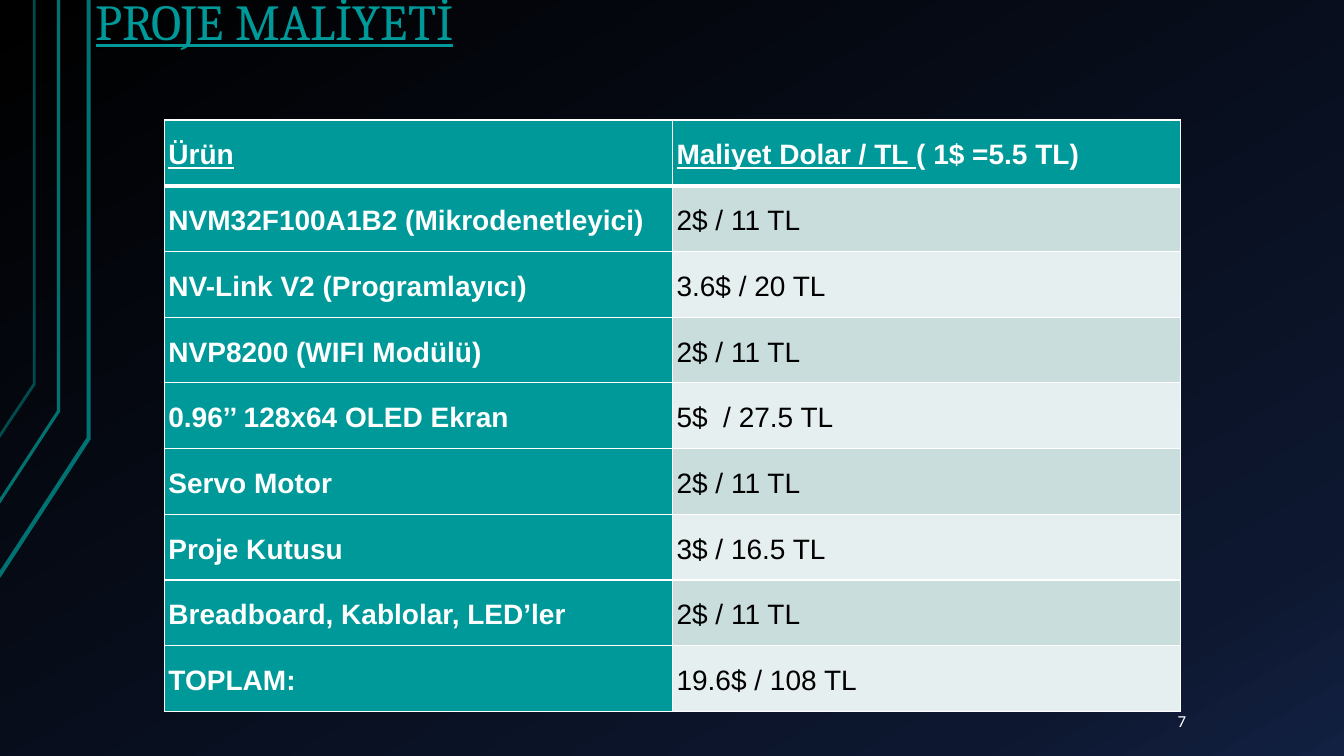
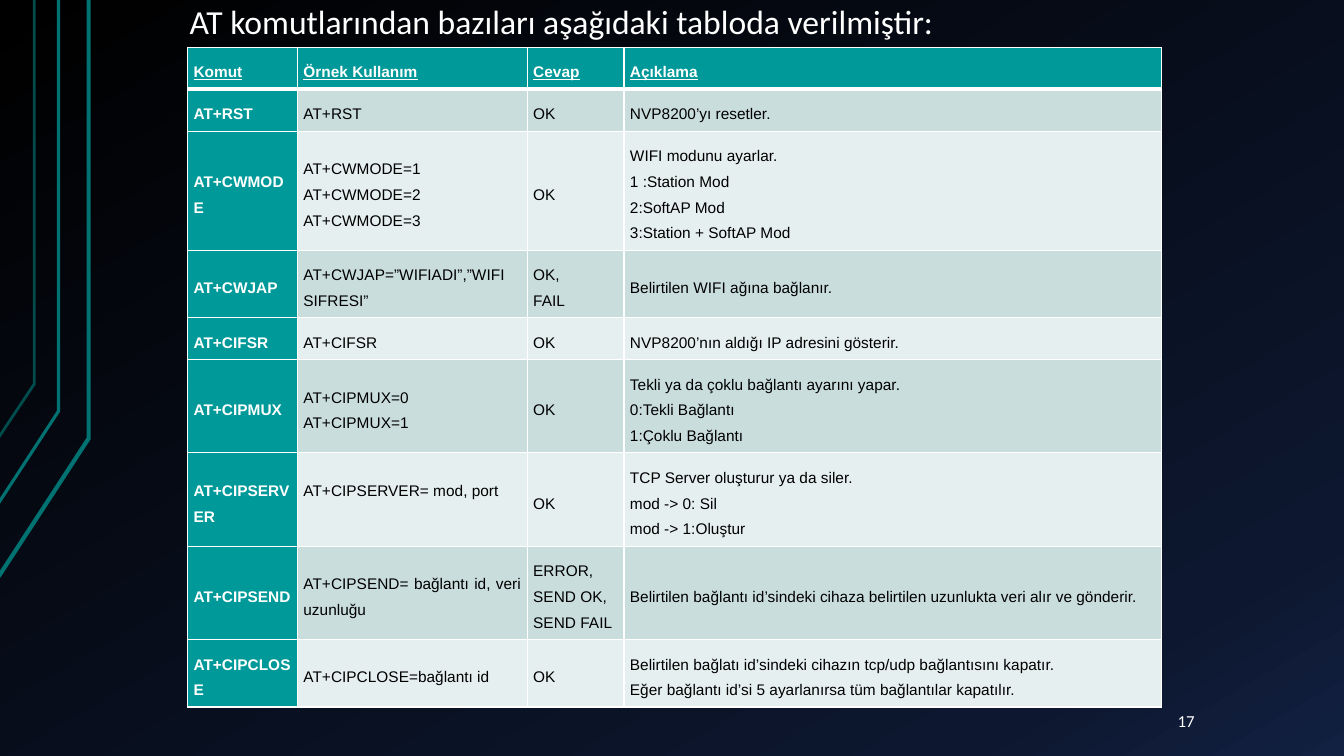
"""Build two dark slides with a project cost table and an AT command table."""
from copy import deepcopy
from dataclasses import dataclass, replace

from lxml import etree
from pptx import Presentation
from pptx.dml.color import RGBColor
from pptx.enum.text import MSO_ANCHOR, MSO_AUTO_SIZE, PP_ALIGN
from pptx.oxml.ns import qn
from pptx.util import Inches, Pt

TOP, MIDDLE, BOTTOM = MSO_ANCHOR.TOP, MSO_ANCHOR.MIDDLE, MSO_ANCHOR.BOTTOM
LEFT, JUSTIFY = PP_ALIGN.LEFT, PP_ALIGN.JUSTIFY
NO_AUTOFIT = MSO_AUTO_SIZE.NONE
SLIDE_WIDTH, SLIDE_HEIGHT = Inches(13.33), Inches(7.5)
TITLE_ONLY = 5


@dataclass(frozen=True)
class TextStyle:
    """Look of one kind of text."""
    font: str
    size: float
    color: str
    bold: bool = False
    underline: bool = False
    align: PP_ALIGN = LEFT
    spacing: float = 1.0


class Theme:
    """Colours and text styles shared by the slides."""
    teal, white, black = "009999", "FFFFFF", "000000"
    band_dark, band_light = "CADDDD", "E6EFEF"
    trace, trace_dim = "007272", "004C4C"
    gradient = ((0, "000000"), (0.85, "0D172F"), (1, "122041"))
    gradient_angle = 300
    border, header_border = 1, 3
    heading = TextStyle("Cambria", 36, teal, underline=True, spacing=0.9)
    caption = TextStyle("Calibri", 24, white)
    page_number = TextStyle("Calibri", 12, white)
    cost = TextStyle("Arial", 20, black, spacing=1.5)
    command = TextStyle("Arial", 11, black, align=JUSTIFY, spacing=1.5)


@dataclass(frozen=True)
class TableLook:
    """Text style, cell insets and anchor of one table."""
    body: TextStyle
    insets: tuple
    anchor: MSO_ANCHOR


COST_LOOK = TableLook(Theme.cost, (0.04, 0.04), TOP)
COMMAND_LOOK = TableLook(Theme.command, (0.06, 0.08), MIDDLE)
COMMAND_LINE = 0.255

TRACES = (
    (6.6, 58, 76.27, Theme.trace, 3),
    (4.35, 54.4, 66.53, Theme.trace, 2.25),
    (2.55, 50.8, 57.87, Theme.trace_dim, 2),
)

COSTS = (
    ("Ürün", "Maliyet Dolar / TL "),
    ("NVM32F100A1B2 (Mikrodenetleyici)", "2$ / 11 TL"),
    ("NV-Link V2 (Programlayıcı)", "3.6$ / 20 TL"),
    ("NVP8200 (WIFI Modülü)", "2$ / 11 TL"),
    ("0.96’’ 128x64 OLED Ekran", "5$  / 27.5 TL"),
    ("Servo Motor", "2$ / 11 TL"),
    ("Proje Kutusu", "3$ / 16.5 TL"),
    ("Breadboard, Kablolar, LED’ler", "2$ / 11 TL"),
    ("TOPLAM:", "19.6$ / 108 TL"),
)
EXCHANGE_RATE = "( 1$ =5.5 TL)"

COMMANDS = (
    ("Komut", "Örnek Kullanım", "Cevap", "Açıklama"),
    ("AT+RST", "AT+RST", "OK", "NVP8200’yı resetler."),
    ("AT+CWMODE", "AT+CWMODE=1\nAT+CWMODE=2\nAT+CWMODE=3", "OK",
     "WIFI modunu ayarlar.\n1 :Station Mod\n2:SoftAP Mod\n3:Station + SoftAP Mod"),
    ("AT+CWJAP", "AT+CWJAP=”WIFIADI”,”WIFI SIFRESI”", "OK,\nFAIL",
     "Belirtilen WIFI ağına bağlanır."),
    ("AT+CIFSR", "AT+CIFSR", "OK", "NVP8200’nın aldığı IP adresini gösterir."),
    ("AT+CIPMUX", "AT+CIPMUX=0\nAT+CIPMUX=1", "OK",
     "Tekli ya da çoklu bağlantı ayarını yapar.\n0:Tekli Bağlantı\n1:Çoklu Bağlantı"),
    ("AT+CIPSERVER", "AT+CIPSERVER= mod, port", "OK",
     "TCP Server oluşturur ya da siler.\nmod -> 0: Sil\nmod -> 1:Oluştur"),
    ("AT+CIPSEND", "AT+CIPSEND= bağlantı id, veri uzunluğu",
     "ERROR,\nSEND OK,\nSEND FAIL",
     "Belirtilen bağlantı id’sindeki cihaza belirtilen uzunlukta veri alır ve gönderir."),
    ("AT+CIPCLOSE", "AT+CIPCLOSE=bağlantı id", "OK",
     "Belirtilen bağlatı id’sindeki cihazın tcp/udp bağlantısını kapatır.\n"
     "Eğer bağlantı id’si 5 ayarlanırsa tüm bağlantılar kapatılır."),
)
SERVER_ROW = 6


def across(percent):
    """Return a share of the slide width."""
    return int(SLIDE_WIDTH * percent / 100)


def down(percent):
    """Return a share of the slide height."""
    return int(SLIDE_HEIGHT * percent / 100)


def place(left, top, width, height):
    """Return a box given in percent of the slide as lengths."""
    return across(left), down(top), across(width), down(height)


def write(frame, text, style):
    """Fill a text frame with one styled paragraph per line."""
    frame.text = text
    for paragraph in frame.paragraphs:
        paragraph.alignment, paragraph.line_spacing = style.align, style.spacing
        font = paragraph.font
        font.name, font.size = style.font, Pt(style.size)
        font.bold, font.underline = style.bold, style.underline
        font.color.rgb = RGBColor.from_string(style.color)


def set_insets(holder, side, end):
    """Set equal left and right, and equal top and bottom, insets."""
    holder.margin_left = holder.margin_right = Inches(side)
    holder.margin_top = holder.margin_bottom = Inches(end)


def set_frame(frame, anchor, side, end):
    """Set wrapping, anchor and insets of a text frame."""
    frame.word_wrap, frame.auto_size = True, NO_AUTOFIT
    frame.vertical_anchor = anchor
    set_insets(frame, side, end)


def paint_background(layout):
    """Give the layout its three-stop gradient."""
    fill = layout.background.fill
    fill.gradient()
    fill.gradient_angle = Theme.gradient_angle
    stops = layout.element.find(".//" + qn("a:gsLst"))
    stops.append(deepcopy(stops[0]))
    for stop, (position, color) in zip(fill.gradient_stops, Theme.gradient):
        stop.position = position
        stop.color.rgb = RGBColor.from_string(color)


def draw_traces(slide, layout):
    """Draw the bent circuit traces and hand them over to the layout."""
    for x, bend, end, color, weight in TRACES:
        builder = slide.shapes.build_freeform(across(-0.1), down(end))
        builder.add_line_segments(
            [(across(x), down(bend)), (across(x), 0)], close=False)
        trace = builder.convert_to_shape()
        trace.shadow.inherit = False
        trace.fill.background()
        trace.line.color.rgb = RGBColor.from_string(color)
        trace.line.width = Pt(weight)
        layout.shapes.element.append(trace.element)


def add_title(slide, text, style, box, anchor, insets):
    """Move, format and fill the title placeholder."""
    title = slide.shapes.title
    title.left, title.top, title.width, title.height = place(*box)
    set_frame(title.text_frame, anchor, *insets)
    write(title.text_frame, text, style)


def add_page_number(slide, number):
    """Add the page number at the lower right."""
    label = slide.shapes.add_textbox(*place(86.65, 92.67, 8.33, 5.33))
    set_frame(label.text_frame, MIDDLE, 0.13, 0.07)
    write(label.text_frame, number, Theme.page_number)


def set_borders(cell, top, bottom):
    """Draw white cell borders with the given top and bottom weights."""
    properties = cell._tc.get_or_add_tcPr()
    weights = {"lnL": Theme.border, "lnR": Theme.border, "lnT": top, "lnB": bottom}
    for index, (side, weight) in enumerate(weights.items()):
        line = etree.Element(qn("a:" + side), w=str(Pt(weight)))
        fill = etree.SubElement(line, qn("a:solidFill"))
        etree.SubElement(fill, qn("a:srgbClr"), val=Theme.white)
        properties.insert(index, line)


def format_cell(cell, row, column, text, look):
    """Fill one cell according to its place in the table."""
    header, label = row == 0, row == 0 or column == 0
    band = Theme.band_dark if row % 2 else Theme.band_light
    style = look.body
    if label:
        style = replace(style, color=Theme.white, bold=True, underline=header)
    write(cell.text_frame, text, style)
    cell.vertical_anchor = look.anchor
    set_insets(cell, *look.insets)
    cell.fill.solid()
    cell.fill.fore_color.rgb = RGBColor.from_string(Theme.teal if label else band)
    set_borders(cell, Theme.header_border if row == 1 else Theme.border,
                Theme.header_border if header else Theme.border)


def add_grid(slide, origin, widths, heights, rows, look):
    """Add a table with a header row, a label column and banded rows."""
    left, top = origin
    table = slide.shapes.add_table(
        len(rows), len(widths), across(left), down(top),
        sum(widths), sum(heights)).table
    for column, width in zip(table.columns, widths):
        column.width = width
    for row, height in zip(table.rows, heights):
        row.height = height
    for i, texts in enumerate(rows):
        for j, text in enumerate(texts):
            format_cell(table.cell(i, j), i, j, text, look)
    return table


def build_costs(slide):
    """Build the project cost slide."""
    add_title(slide, "PROJE MALİYETİ", Theme.heading,
              (6.15, -3.87, 85, 11.6), BOTTOM, (0.13, 0.07))
    table = add_grid(slide, (12.23, 15.87), [across(37.81)] * 2,
                     [down(78.27 / len(COSTS))] * len(COSTS), COSTS, COST_LOOK)
    rate = table.cell(0, 1).text_frame.paragraphs[0].add_run()
    rate.text = EXCHANGE_RATE
    rate.font.underline = False
    add_page_number(slide, "7")


def build_commands(slide):
    """Build the AT command slide."""
    add_title(slide, "AT komutlarından bazıları aşağıdaki tabloda verilmiştir:",
              Theme.caption, (13.35, -0.53, 82.15, 6.67), TOP, (0.1, 0.05))
    line_counts = (1, 1, 4, 2, 1, 3, 3, 3, 2)
    inset = COMMAND_LOOK.insets[1]
    table = add_grid(slide, (13.95, 6.27),
                     [across(share) for share in (8.18, 17.1, 7.2, 40)],
                     [Inches(2 * inset + COMMAND_LINE * n) for n in line_counts],
                     COMMANDS, COMMAND_LOOK)
    table.cell(SERVER_ROW, 1).margin_bottom = Inches(inset + COMMAND_LINE)
    add_page_number(slide, "17")


def main():
    """Build and save the presentation."""
    deck = Presentation()
    deck.slide_width, deck.slide_height = SLIDE_WIDTH, SLIDE_HEIGHT
    layout = deck.slide_layouts[TITLE_ONLY]
    paint_background(layout)
    costs, commands = (deck.slides.add_slide(layout) for _ in range(2))
    draw_traces(costs, layout)
    build_costs(costs)
    build_commands(commands)
    deck.save("out.pptx")


if __name__ == "__main__":
    main()
